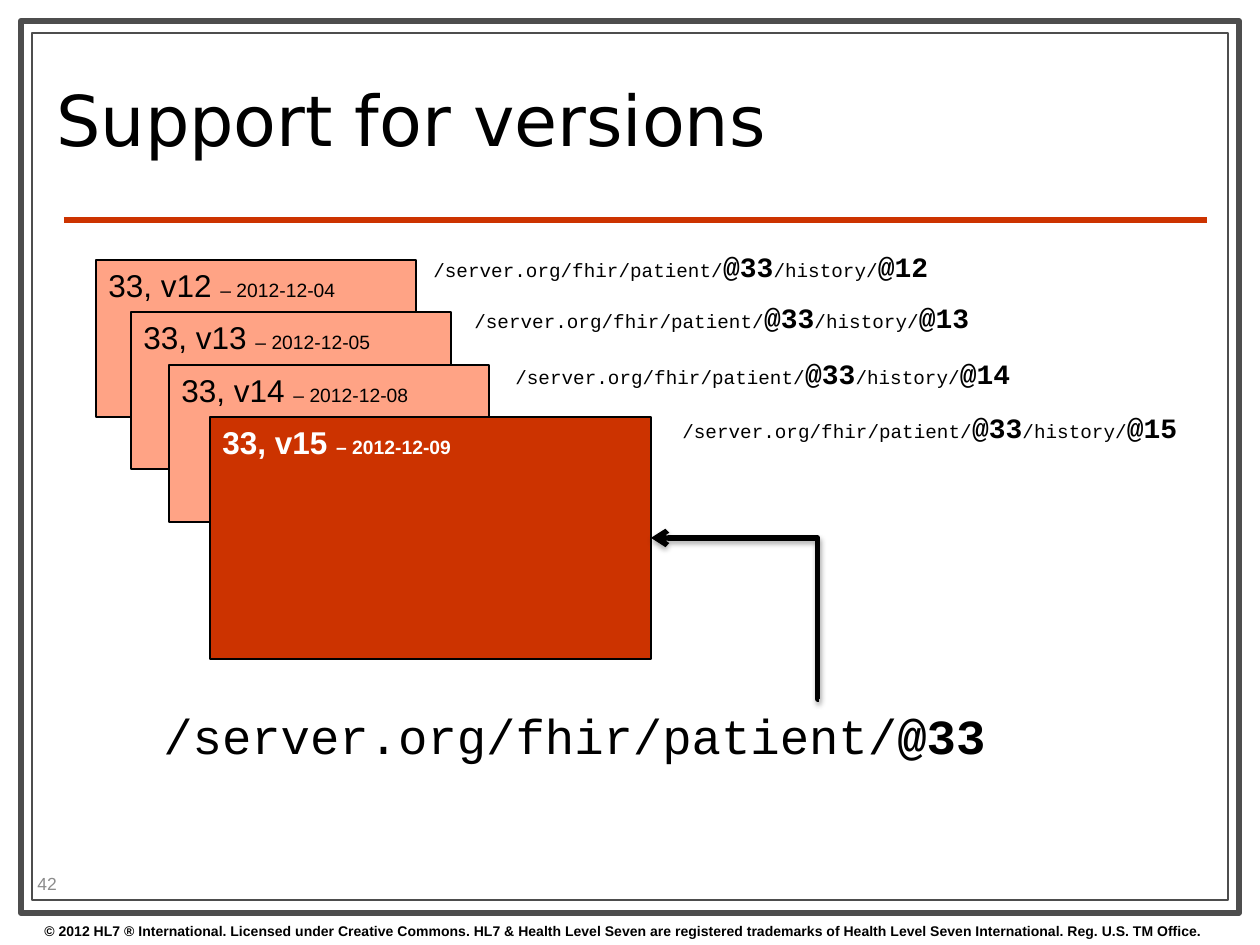
from lxml import etree
from pptx import Presentation
from pptx import util as u
from pptx.dml.color import RGBColor
from pptx.enum import shapes, text
from pptx.oxml import parse_xml
from pptx.oxml.ns import nsdecls, qn

SCALE = 914400 / 126
BLACK, WHITE, GREY = "000000", "FFFFFF", "4D4D4D"
RED, SALMON = "CC3300", "FFA385"
SANS, MONO, TITLE = "Arial", "Courier New", "DejaVu Sans"


def px(*lengths):
    return [u.Emu(round(length * SCALE)) for length in lengths]


def color(value):
    return RGBColor.from_string(value)


class Sketch:
    def __init__(self, slide):
        self.slide = slide

    def fill_text(self, frame, runs, font, ink=BLACK, bold=None):
        paragraph = frame.paragraphs[0]
        paragraph.alignment = text.PP_ALIGN.LEFT
        paragraph.font.name = font
        paragraph.font.color.rgb = color(ink)
        paragraph.font.bold = bold
        sizes = {size for _, size, _ in runs}
        if len(sizes) == 1:
            paragraph.font.size = u.Pt(sizes.pop())
        for words, size, strong in runs:
            run = paragraph.add_run()
            run.text = words
            if paragraph.font.size is None:
                run.font.size = u.Pt(size)
            if strong:
                run.font.bold = True
        return paragraph

    def box(self, left, top, width, height, fill, line=BLACK, weight=0.75):
        shape = self.slide.shapes.add_shape(
            shapes.MSO_SHAPE.RECTANGLE, *px(left, top, width, height))
        shape.shadow.inherit = False
        shape.fill.solid()
        shape.fill.fore_color.rgb = color(fill)
        shape.line.color.rgb = color(line)
        shape.line.width = u.Pt(weight)
        shape.text_frame.vertical_anchor = text.MSO_ANCHOR.TOP
        return shape

    def label(self, left, top, width, height, runs, font, ink=BLACK,
              bold=None, anchor=text.MSO_ANCHOR.TOP):
        frame = self.slide.shapes.add_textbox(*px(left, top, width, height)).text_frame
        frame.word_wrap = True
        frame.vertical_anchor = anchor
        return self.fill_text(frame, runs, font, ink, bold)

    def connector(self, kind, start, end, ink):
        line = self.slide.shapes.add_connector(kind, *px(*start, *end))
        line.line.color.rgb = color(ink)
        line.line.width = u.Pt(3)
        effects = etree.SubElement(line._element.spPr, qn("a:effectLst"))
        return line, effects

    def rule(self, start, end, ink):
        self.connector(shapes.MSO_CONNECTOR.STRAIGHT, start, end, ink)

    def elbow_arrow(self, start, end, target, side):
        arrow, effects = self.connector(shapes.MSO_CONNECTOR.ELBOW, start, end, BLACK)
        arrow.end_connect(target, side)
        properties = arrow._element.spPr
        guides = properties.find(qn("a:prstGeom")).find(qn("a:avLst"))
        etree.SubElement(guides, qn("a:gd"), name="adj1", fmla="val 800")
        etree.SubElement(properties.find(qn("a:ln")), qn("a:tailEnd"), type="arrow")
        effects.append(parse_xml(
            f'<a:outerShdw {nsdecls("a")} blurRad="40000" dist="23000" dir="5400000" '
            'rotWithShape="0"><a:srgbClr val="000000"><a:alpha val="35000"/>'
            '</a:srgbClr></a:outerShdw>'))


def main():
    presentation = Presentation()
    presentation.slide_width, presentation.slide_height = px(1260, 945)
    slide = presentation.slides.add_slide(presentation.slide_layouts[6])
    sketch = Sketch(slide)
    middle = text.MSO_ANCHOR.MIDDLE

    sketch.box(21, 21, 1218, 892, WHITE, GREY, 3.5)
    sketch.box(32, 33, 1196, 867, WHITE, GREY)
    sketch.rule((64, 220), (1207, 220), RED)
    sketch.label(32, 916, 1228, 29, [(
        "© 2012 HL7 ® International. Licensed under Creative Commons. "
        "HL7 & Health Level Seven are registered trademarks of "
        "Health Level Seven International. Reg. U.S. TM Office.", 8, False)],
        SANS, bold=True)
    title = sketch.label(44, 45, 903, 163, [("Support for versions", 40, False)],
                         TITLE, anchor=middle)
    title.line_spacing = 0.8
    sketch.label(25, 868, 100, 30, [("42", 10, False)], SANS, "8C8C8C", anchor=middle)

    old, current = (320, 157, SALMON, BLACK, None), (441, 242, RED, WHITE, True)
    versions = [
        (12, "2012-12-04", (96, 260), old, (421, 243)),
        (13, "2012-12-05", (131, 312), old, (462, 294)),
        (14, "2012-12-08", (169, 365), old, (503, 350)),
        (15, "2012-12-09", (210, 417), current, (670, 404)),
    ]
    address = "/server.org/fhir/patient/"
    for number, date, corner, style, address_corner in versions:
        width, height, fill, ink, bold = style
        card = sketch.box(*corner, width, height, fill)
        sketch.fill_text(card.text_frame, [(f"33, v{number} ", 18, False),
                                           (f"– {date}", 11, False)], SANS, ink, bold)
        sketch.label(*address_corner, 570, 47, [
            (address, 11, False), ("@33", 16, True),
            ("/history/", 11, False), (f"@{number}", 16, True)], MONO)

    sketch.label(151, 699, 867, 72, [(address, 28, False), ("@33", 28, True)], MONO)
    sketch.elbow_arrow((819, 699), (651, 538), card, 3)
    presentation.save("out.pptx")


if __name__ == "__main__":
    main()
